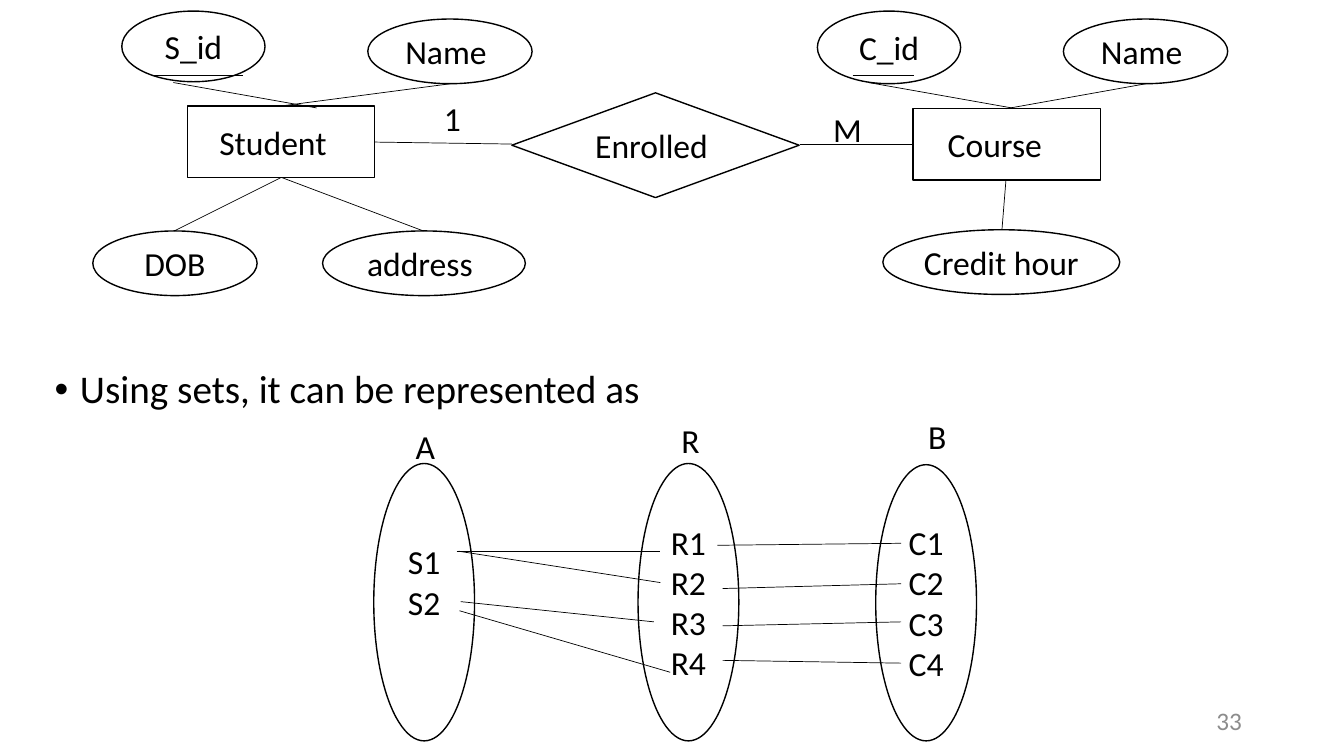
"""Build a slide with an entity-relationship diagram and its set representation."""
from typing import NamedTuple

from lxml import etree
from pptx import Presentation
from pptx import util as u
from pptx.dml.color import RGBColor
from pptx.enum import shapes, text
from pptx.oxml import ns

BLACK = RGBColor(0x00, 0x00, 0x00)
WHITE = RGBColor(0xFF, 0xFF, 0xFF)
GREY = RGBColor(0x8C, 0x8C, 0x8C)
FONT = "Calibri"

OVAL = shapes.MSO_SHAPE.OVAL
RECTANGLE = shapes.MSO_SHAPE.RECTANGLE
DECISION = shapes.MSO_SHAPE.FLOWCHART_DECISION
CENTER = text.PP_ALIGN.CENTER


class Node(NamedTuple):
    kind: shapes.MSO_SHAPE
    words: str
    left: float
    top: float
    width: float
    height: float
    shift: float = 0
    lift: float = 0
    inset: float = 0.25


class Label(NamedTuple):
    words: str
    left: float
    top: float
    width: float
    height: float = 1.27


class Link(NamedTuple):
    x1: float
    y1: float
    x2: float
    y2: float


ER_NODES = [
    Node(RECTANGLE, "Student", 4.72, 2.67, 4.72, 1.8, shift=0.2),
    Node(OVAL, "S_id", 3.07, 0.28, 3.61, 1.78),
    Node(OVAL, "address", 8.13, 5.82, 5.11, 1.63, shift=0.1),
    Node(OVAL, "DOB", 2.34, 5.82, 4.14, 1.63),
    Node(OVAL, "Name", 9.27, 0.48, 4.14, 1.63, shift=0.1),
    Node(RECTANGLE, "Course", 23.01, 2.74, 4.72, 1.8, shift=0.3),
    Node(OVAL, "C_id", 20.6, 0.28, 3.61, 1.83),
    Node(OVAL, "Credit hour", 22.25, 5.79, 5.97, 1.63, inset=0),
    Node(OVAL, "Name", 26.8, 0.48, 4.14, 1.63, shift=0.1),
    Node(DECISION, "Enrolled", 12.9, 2.34, 7.24, 2.64, shift=0.1),
]
ER_LINKS = [
    Link(3.89, 1.9, 6.12, 1.9),
    Link(4.37, 2.08, 7.98, 2.72),
    Link(7.09, 2.67, 11.35, 2.11),
    Link(4.39, 5.82, 7.09, 4.47),
    Link(7.09, 4.47, 10.67, 5.82),
    Link(21.49, 1.9, 23.04, 1.9),
    Link(21.89, 2.08, 25.5, 2.72),
    Link(25.35, 2.74, 28.88, 2.11),
    Link(25.25, 5.79, 25.35, 4.55),
    Link(9.45, 3.58, 12.9, 3.63),
    Link(20.17, 3.63, 23.01, 3.63),
]
ER_LABELS = [Label("M", 20.7, 2.62, 1.32), Label("1", 10.74, 2.34, 1.32)]

SET_NODES = [
    Node(OVAL, "S1\nS2", 9.42, 11.68, 2.54, 6.99, lift=1.03),
    Node(OVAL, "R1\nR2\nR3\nR4", 16.08, 11.68, 2.54, 6.99),
    Node(OVAL, "C1\nC2\nC3\nC4", 22.07, 11.71, 2.54, 6.96),
]
SET_LINKS = [
    Link(11.51, 13.89, 16.64, 13.89),
    Link(11.56, 13.89, 16.64, 14.68),
    Link(11.61, 15.16, 16.48, 15.67),
    Link(11.58, 15.39, 16.89, 16.94),
    Link(18.08, 13.74, 22.71, 13.69),
    Link(18.21, 14.83, 22.71, 14.71),
    Link(18.21, 15.77, 22.71, 15.67),
    Link(18.21, 16.64, 22.71, 16.71),
]
SET_LABELS = [
    Label("A", 9.4, 10.62, 2.64),
    Label("B", 22.3, 10.36, 2.64),
    Label("R", 16.08, 10.46, 2.64),
]


def write(frame, words: str, size: int, color: RGBColor, align) -> None:
    frame.word_wrap = True
    frame.text = words
    for para in frame.paragraphs:
        para.alignment = align
        para.font.name = FONT
        para.font.size = u.Pt(size)
        para.font.color.rgb = color


def draw_node(group, node: Node) -> None:
    box = group.shapes.add_shape(
        node.kind, u.Cm(node.left), u.Cm(node.top), u.Cm(node.width), u.Cm(node.height))
    box.shadow.inherit = False
    box.fill.solid()
    box.fill.fore_color.rgb = WHITE
    box.line.color.rgb = BLACK
    box.line.width = u.Pt(1)
    frame = box.text_frame
    frame.margin_left = u.Cm(node.inset - node.shift)
    frame.margin_right = u.Cm(node.inset + node.shift)
    frame.margin_bottom = u.Cm(0.13 + node.lift)
    frame.vertical_anchor = text.MSO_ANCHOR.MIDDLE
    write(frame, node.words, 24, BLACK, CENTER)


def draw_link(group, link: Link) -> None:
    line = group.shapes.add_connector(
        shapes.MSO_CONNECTOR.STRAIGHT, *(u.Cm(value) for value in link))
    line.line.color.rgb = BLACK
    line.line.width = u.Pt(0.5)
    properties = line._element.find(ns.qn("p:spPr"))
    etree.SubElement(properties, ns.qn("a:effectLst"))


def draw_label(target, label: Label, size: int = 24, color: RGBColor = BLACK, align=CENTER):
    box = target.shapes.add_textbox(
        u.Cm(label.left), u.Cm(label.top), u.Cm(label.width), u.Cm(label.height))
    write(box.text_frame, label.words, size, color, align)
    return box


def draw_diagram(page, nodes: list[Node], links: list[Link], labels: list[Label]) -> None:
    group = page.shapes.add_group_shape()
    for node in nodes:
        draw_node(group, node)
    for link in links:
        draw_link(group, link)
    for label in labels:
        draw_label(group, label)


def fill_body(page) -> None:
    title = page.shapes.title
    title._element.getparent().remove(title._element)
    body = page.placeholders[1]
    body.left, body.top, body.width, body.height = (
        u.Cm(value) for value in (1.12, 9.19, 30.43, 1.35))
    write(body.text_frame, "Using sets, it can be represented as", 28, BLACK,
          text.PP_ALIGN.JUSTIFY)
    para = body.text_frame.paragraphs[0]
    para.line_spacing = 0.9
    para.space_before = u.Pt(0)
    properties = para._p.get_or_add_pPr()
    properties.set("marL", str(u.Cm(0.64)))
    properties.set("indent", str(u.Cm(-0.64)))


def main() -> None:
    deck = Presentation()
    deck.slide_width, deck.slide_height = u.Cm(33.87), u.Cm(19.05)
    page = deck.slides.add_slide(deck.slide_layouts[1])
    fill_body(page)
    number = draw_label(
        page, Label("33", 23.93, 17.65, 7.62, 1.02), 18, GREY, text.PP_ALIGN.RIGHT)
    number.text_frame.vertical_anchor = text.MSO_ANCHOR.MIDDLE
    draw_diagram(page, ER_NODES, ER_LINKS, ER_LABELS)
    draw_diagram(page, SET_NODES, SET_LINKS, SET_LABELS)
    deck.save("out.pptx")


if __name__ == "__main__":
    main()
